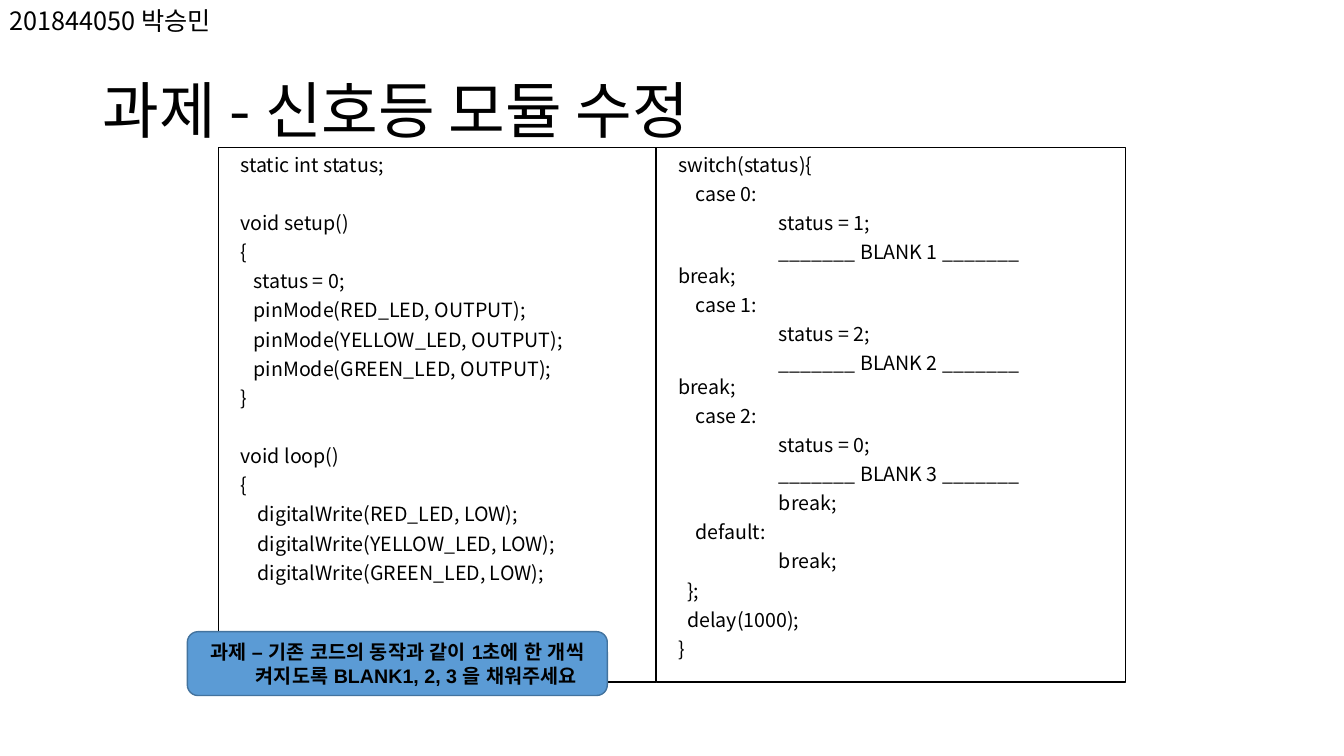
from typing import NamedTuple

from pptx import Presentation
from pptx.dml.color import RGBColor
from pptx.enum.shapes import MSO_SHAPE as SHAPE
from pptx.enum.text import MSO_ANCHOR as ANCHOR, MSO_AUTO_SIZE as AUTO, PP_ALIGN as ALIGN
from pptx.oxml.ns import qn
from pptx.util import Inches, Pt

BLACK = RGBColor(0, 0, 0)
BLUE = RGBColor(0x5B, 0x9B, 0xD5)
DARK_BLUE = RGBColor(0x43, 0x73, 0x9E)
FONT = "Noto Sans CJK KR"
COLS, ROWS = 160, 90
LINE_HEIGHT, LINE_GAP = 16.8, 4  # points
CODE_MARGIN = 0.12  # inches


class Box(NamedTuple):
    """A place on the grid of 160 columns by 90 rows."""
    col: float
    row: float
    cols: float
    rows: float


class Line(NamedTuple):
    text: str
    indent: float = 0  # inches
    gap: bool = False  # one line left free above


class CodePanel(NamedTuple):
    box: Box
    lines: list[Line]


def case(number: int, next_status: int) -> list[Line]:
    """One signal state, with the break wrapped to the margin."""
    return [Line(f"case {number}:", 0.17), Line(f"status = {next_status};", 1),
            Line(f"_______ BLANK {number + 1} _______\vbreak;", 1)]


def led_calls(call: str, value: str, indent: float) -> list[Line]:
    return [Line(f"{call}({led}_LED, {value});", indent)
            for led in ("RED", "YELLOW", "GREEN")]


SETUP_LINES = [
    Line("static int status;"),
    Line("void setup()", gap=True), Line("{"), Line("status = 0;", 0.13),
    *led_calls("pinMode", "OUTPUT", 0.13), Line("}"),
    Line("void loop()", gap=True), Line("{"),
    *led_calls("digitalWrite", "LOW", 0.17),
]
SWITCH_LINES = [
    Line("switch(status){"), *case(0, 1), *case(1, 2),
    Line("case 2:", 0.17), Line("status = 0;", 1),
    Line("_______ BLANK 3 _______", 1), Line("break;", 1),
    Line("default:", 0.17), Line("break;", 1),
    Line("};", 0.09), Line("delay(1000);", 0.09), Line("}"),
]
PANELS = [CodePanel(Box(26, 17.6, 52.1, 63.6), SETUP_LINES),
          CodePanel(Box(78.1, 17.6, 55.9, 63.6), SWITCH_LINES)]

prs = Presentation()
prs.slide_width, prs.slide_height = Inches(13.33), Inches(7.5)
s = prs.slides.add_slide(prs.slide_layouts[5])


def place(box: Box) -> tuple[int, int, int, int]:
    col, row = prs.slide_width / COLS, prs.slide_height / ROWS
    return (round(box.col * col), round(box.row * row),
            round(box.cols * col), round(box.rows * row))


def format_runs(p, size: float, font: str = FONT, bold: bool = False) -> None:
    for r in p.runs:
        r.font.size, r.font.name, r.font.bold = Pt(size), font, bold
        r.font.color.rgb = BLACK
        ea = r._r.get_or_add_rPr().makeelement(qn("a:ea"), {"typeface": font})
        r.font._element.find(qn("a:latin")).addnext(ea)


def set_indent(p, margin: float, first: float) -> None:
    pPr = p._p.get_or_add_pPr()
    pPr.set("marL", str(Inches(margin)))
    pPr.set("indent", str(Inches(first)))


def add_outlined(kind: SHAPE, box: Box, color: RGBColor, width: float):
    sp = s.shapes.add_shape(kind, *place(box))
    sp.shadow.inherit = False
    sp.line.color.rgb, sp.line.width = color, Pt(width)
    sp.text_frame.word_wrap = True
    return sp


def add_code(panel: CodePanel) -> None:
    sp = add_outlined(SHAPE.RECTANGLE, panel.box, BLACK, 0.75)
    sp.fill.background()
    tf = sp.text_frame
    tf.vertical_anchor = ANCHOR.TOP
    for i, line in enumerate(panel.lines):
        p = tf.add_paragraph() if i else tf.paragraphs[0]
        p.text = line.text
        p.alignment = ALIGN.LEFT
        p.line_spacing = Pt(LINE_HEIGHT)
        p.space_before = Pt(LINE_GAP + line.gap * (LINE_HEIGHT + LINE_GAP))
        set_indent(p, CODE_MARGIN, line.indent)
        format_runs(p, 14)


# Title
title = s.shapes.title
title.left, title.top, title.width, title.height = place(Box(11, 4.8, 138, 17.4))
tf = title.text_frame
tf.text = "과제 - 신호등 모듈 수정"
tf.auto_size, tf.vertical_anchor = AUTO.NONE, ANCHOR.MIDDLE
p = tf.paragraphs[0]
p.alignment, p.line_spacing = ALIGN.LEFT, 0.9
format_runs(p, 44)

# Code panels
for panel in PANELS:
    add_code(panel)

# Task note
note = add_outlined(SHAPE.ROUNDED_RECTANGLE, Box(22.3, 75.2, 50, 7.6), DARK_BLUE, 1)
note.fill.solid()
note.fill.fore_color.rgb = BLUE
tf = note.text_frame
tf.text = "과제 – 기존 코드의 동작과 같이 1초에 한 개씩 켜지도록 BLANK1, 2, 3 을 채워주세요"
tf.vertical_anchor = ANCHOR.MIDDLE
p = tf.paragraphs[0]
p.alignment = ALIGN.CENTER
set_indent(p, 0.38, -0.38)
format_runs(p, 14, "Arial", True)

# Student number and name
tf = s.shapes.add_textbox(*place(Box(0, 0, 27.6, 4.8))).text_frame
tf.text = "201844050 박승민"
tf.word_wrap = False
format_runs(tf.paragraphs[0], 18)

prs.save("out.pptx")
